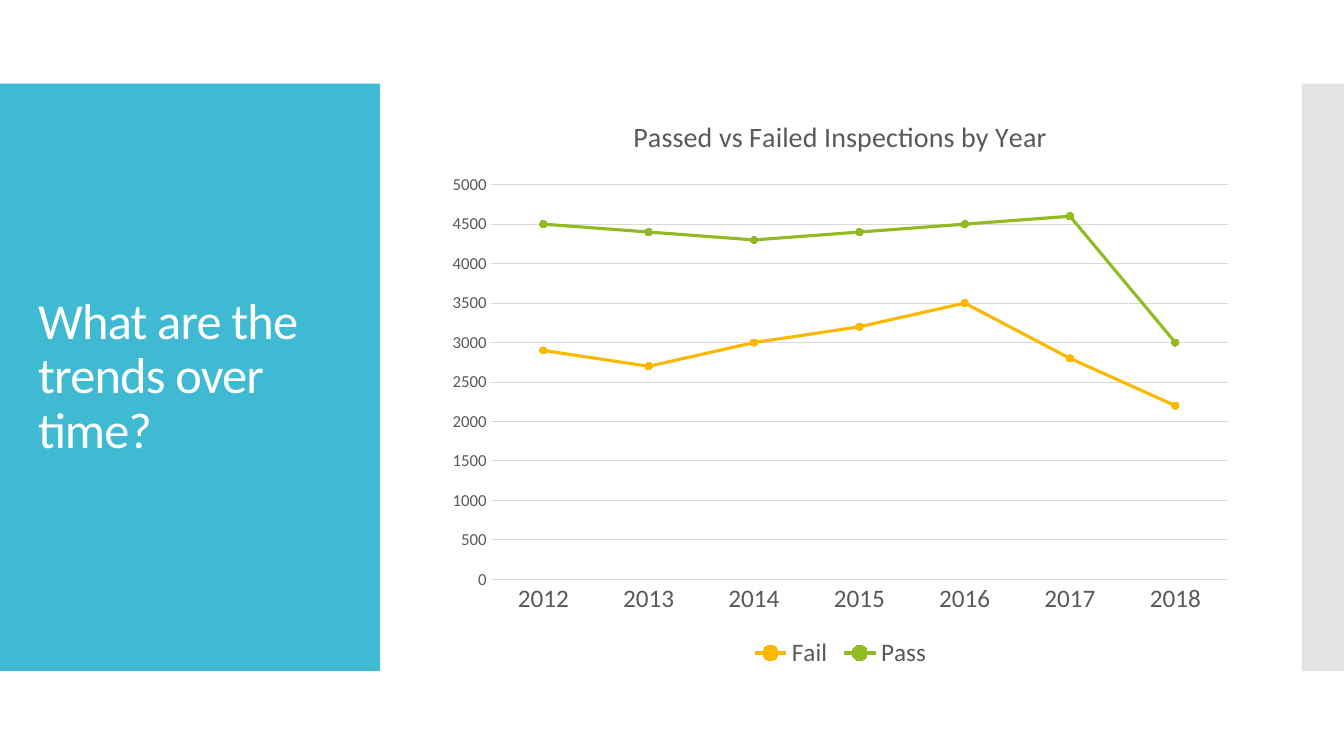
from lxml import etree
from pptx import Presentation
from pptx.chart.data import CategoryChartData
from pptx.dml.color import RGBColor
from pptx.enum.chart import XL_CHART_TYPE, XL_LEGEND_POSITION, XL_MARKER_STYLE, XL_TICK_MARK
from pptx.enum.shapes import MSO_SHAPE
from pptx.enum.text import MSO_ANCHOR
from pptx.oxml.ns import qn
from pptx.util import Inches, Pt

RECTANGLE = MSO_SHAPE.RECTANGLE
MIDDLE = MSO_ANCHOR.MIDDLE
LINE_MARKERS = XL_CHART_TYPE.LINE_MARKERS
BOTTOM = XL_LEGEND_POSITION.BOTTOM
CIRCLE = XL_MARKER_STYLE.CIRCLE
NO_TICK = XL_TICK_MARK.NONE

# Content
QUESTION = "What are the trends over time?"
CHART_TITLE = "Passed vs Failed Inspections by Year"
YEARS = [str(year) for year in range(2012, 2019)]
INSPECTIONS = {
    "Fail": [2900, 2700, 3000, 3200, 3500, 2800, 2200],
    "Pass": [4500, 4400, 4300, 4400, 4500, 4600, 3000],
}

THEME = {
    "font": "Calibri",
    "panel": "40BAD2", "strip": "C8C8C8", "strip_alpha": 50,
    "question": "FFFFFF", "text": "595959", "grid": "D9D9D9",
    "Fail": "FAB900", "Pass": "90BB23",
    "question_size": 36, "title_size": 20, "label_size": 18, "value_size": 12,
}

# Layout, in inches
SLIDE_W, SLIDE_H = 13.33, 7.5
BAND_TOP, BAND_H = 0.83, 5.83
PANEL_W, STRIP_W = 3.77, 0.42
QUESTION_BOX = (0.28, 1.23, 3.22, 5.03)
CHART_BOX = (4.33, 0.94, 8.01, 5.74)


def color(name):
    return RGBColor.from_string(THEME[name])


def style_font(font, size, tint="text"):
    font.name = THEME["font"]
    font.size = Pt(THEME[size])
    font.bold = False
    font.color.rgb = color(tint)


def style_line(line, tint, width):
    line.color.rgb = color(tint)
    line.width = Pt(width)


def add_band(slide, left, width, tint):
    band = slide.shapes.add_shape(
        RECTANGLE, *map(Inches, (left, BAND_TOP, width, BAND_H)))
    band.shadow.inherit = False
    band.fill.solid()
    band.fill.fore_color.rgb = color(tint)
    band.line.fill.background()
    return band


def add_question(slide):
    box = slide.shapes.add_textbox(*map(Inches, QUESTION_BOX))
    frame = box.text_frame
    frame.word_wrap = True
    frame.vertical_anchor = MIDDLE
    paragraph = frame.paragraphs[0]
    paragraph.line_spacing = 0.9
    run = paragraph.add_run()
    run.text = QUESTION
    style_font(run.font, "question_size", "question")
    run.font._element.set("spc", "-60")


def add_trend_chart(slide):
    data = CategoryChartData()
    data.categories = YEARS
    for result, counts in INSPECTIONS.items():
        data.add_series(result, counts)
    chart = slide.shapes.add_chart(
        LINE_MARKERS, *map(Inches, CHART_BOX), data).chart
    style_font(chart.font, "value_size")

    # Title and legend
    chart.has_title = True
    title_run = chart.chart_title.text_frame.paragraphs[0].add_run()
    title_run.text = CHART_TITLE
    style_font(title_run.font, "title_size")
    chart.chart_title.include_in_layout = False
    chart.has_legend = True
    chart.legend.position = BOTTOM
    chart.legend.include_in_layout = False
    style_font(chart.legend.font, "label_size")

    # Axes
    years, counts = chart.category_axis, chart.value_axis
    for axis, size in ((years, "label_size"), (counts, "value_size")):
        axis.major_tick_mark = axis.minor_tick_mark = NO_TICK
        style_font(axis.tick_labels.font, size)
    style_line(years.format.line, "grid", 0.75)
    counts.format.line.fill.background()
    counts.minimum_scale, counts.maximum_scale, counts.major_unit = 0, 5000, 500
    counts.has_major_gridlines = True
    style_line(counts.major_gridlines.format.line, "grid", 0.75)

    # Series
    chart.plots[0].vary_by_categories = False
    for series in chart.plots[0].series:
        series.smooth = False
        style_line(series.format.line, series.name, 2.25)
        series.marker.style = CIRCLE
        series.marker.size = 5
        series.marker.format.fill.solid()
        series.marker.format.fill.fore_color.rgb = color(series.name)
        style_line(series.marker.format.line, series.name, 0.75)


def main():
    deck = Presentation()
    deck.slide_width, deck.slide_height = Inches(SLIDE_W), Inches(SLIDE_H)
    slide = deck.slides.add_slide(deck.slide_layouts[6])

    # Side bands
    add_band(slide, 0, PANEL_W, "panel")
    strip = add_band(slide, SLIDE_W - STRIP_W, STRIP_W, "strip")
    strip_color = strip.fill._xPr.find(qn("a:solidFill"))[0]
    etree.SubElement(strip_color, qn("a:alpha"),
                     val=str(THEME["strip_alpha"] * 1000))

    add_question(slide)
    add_trend_chart(slide)
    deck.save("out.pptx")


if __name__ == "__main__":
    main()
